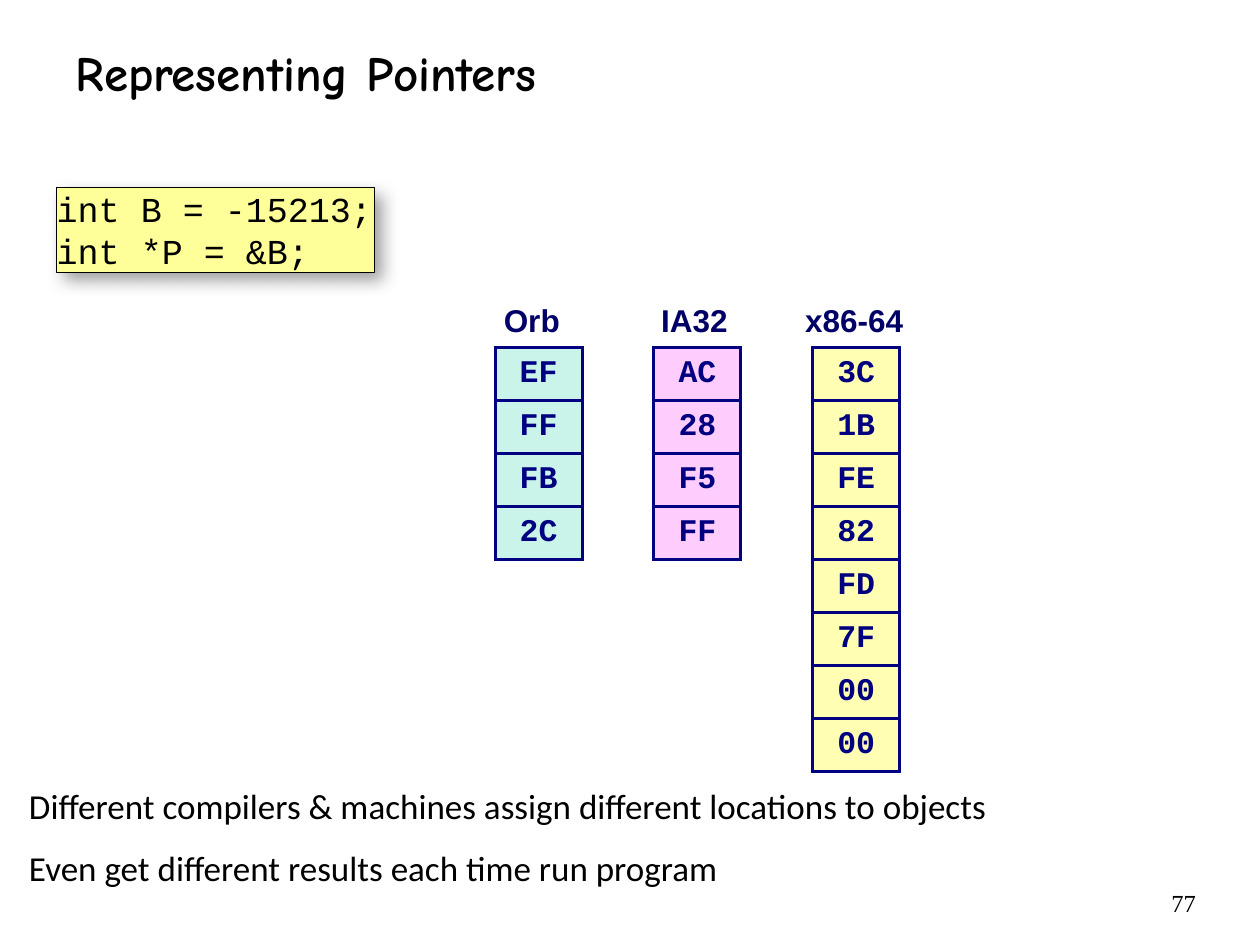
from dataclasses import dataclass

from lxml import etree
from pptx import Presentation
from pptx.dml.color import RGBColor
from pptx.enum import shapes, text
from pptx.oxml import ns
from pptx.util import Inches, Pt


@dataclass(frozen=True)
class Theme:
    black: str = "000000"
    heading: str = "000066"
    navy: str = "000080"
    code_fill: str = "FFFF99"
    shadow: str = "808080"
    mint: str = "CAF4E9"
    pink: str = "FFCCFE"
    cream: str = "FFFEB2"
    title_size: int = 28
    body_size: int = 20
    cell_size: int = 18
    number_size: int = 14


THEME = Theme()
INSETS = (0.06, 0.06, 0.1, 0.06)
COLUMN_LEFT, COLUMN_TOP, COLUMN_STEP = 3.93, 2.76, 1.26
CELL_WIDTH, ROW_HEIGHT = 0.69, 5 / 12

# heading, its left edge, width and alignment, cell fill, bytes
MACHINES = [
    ("Orb", 3.92, 0.64, text.PP_ALIGN.CENTER, THEME.mint, "EF FF FB 2C"),
    ("IA32", 5.18, 0.7, text.PP_ALIGN.CENTER, THEME.pink, "AC 28 F5 FF"),
    ("x86-64", 6.33, 0.95, text.PP_ALIGN.LEFT, THEME.cream,
     "3C 1B FE 82 FD 7F 00 00"),
]


def color(value):
    return RGBColor.from_string(value)


def add_element(parent, tag, **attributes):
    return etree.SubElement(parent, ns.qn(tag), attributes)


def place(shape, left, top, width, height):
    shape.left, shape.top = Inches(left), Inches(top)
    shape.width, shape.height = Inches(width), Inches(height)


def set_insets(target, insets):
    (target.margin_left, target.margin_top,
     target.margin_right, target.margin_bottom) = map(Inches, insets)


def write(frame, content, font, size, fill, bold=False,
          align=text.PP_ALIGN.LEFT):
    frame.text = content
    for para in frame.paragraphs:
        para.alignment = align
        for span in para.runs:
            span.font.name, span.font.size = font, Pt(size)
            span.font.bold = bold
            span.font.color.rgb = color(fill)


def add_title(page, content):
    title = page.shapes.title
    place(title, 0.5, 0.22, 9.08, 0.7)
    title.text_frame.vertical_anchor = text.MSO_ANCHOR.MIDDLE
    write(title.text_frame, content, "Comic Neue", THEME.title_size,
          THEME.black, bold=True)


def add_remarks(page, lines):
    body = page.placeholders[1]
    place(body, 0.17, 6.17, 9.67, 0.74)
    frame = body.text_frame
    frame.auto_size = text.MSO_AUTO_SIZE.NONE
    frame.vertical_anchor = text.MSO_ANCHOR.TOP
    set_insets(frame, INSETS)
    write(frame, "\n".join(lines), "Calibri", THEME.body_size, THEME.black)
    for index, para in enumerate(frame.paragraphs):
        para.space_before = Pt(11 if index else 0)
        properties = para._p.get_or_add_pPr()
        properties.set("marL", "0")
        properties.set("indent", "0")
        add_element(properties, "a:buNone")


def add_code(page, lines):
    box = page.shapes.add_shape(shapes.MSO_SHAPE.RECTANGLE, Inches(0.45),
                                Inches(1.49), Inches(2.52), Inches(0.67))
    box.fill.solid()
    box.fill.fore_color.rgb = color(THEME.code_fill)
    box.line.color.rgb = color(THEME.black)
    box.line.width = Pt(0.5)
    frame = box.text_frame
    frame.word_wrap = False
    frame.vertical_anchor = text.MSO_ANCHOR.TOP
    set_insets(frame, (0, 0, 0, 0))
    write(frame, "\n".join(lines), "Courier New", THEME.body_size, THEME.black)
    for para in frame.paragraphs:
        para.line_spacing = Pt(24)
    add_shadow(box)


def add_shadow(shape):
    shape.shadow.inherit = False
    effects = shape._element.spPr.find(ns.qn("a:effectLst"))
    shadow = add_element(effects, "a:outerShdw", blurRad=str(Pt(10)),
                         dist=str(Pt(6)), dir=str(45 * 60000),
                         algn="tl", rotWithShape="0")
    tint = add_element(shadow, "a:srgbClr", val=THEME.shadow)
    add_element(tint, "a:alpha", val="75000")


def add_label(page, content, area, font, size, fill, align,
              bold=False, insets=(0.1, 0.05, 0.1, 0.05), wrap=False):
    box = page.shapes.add_textbox(*map(Inches, area))
    frame = box.text_frame
    frame.word_wrap = wrap
    set_insets(frame, insets)
    write(frame, content, font, size, fill, bold, align)


def add_borders(cell):
    """Put the four lines ahead of the cell's fill, as the schema asks."""
    properties = cell._tc.get_or_add_tcPr()
    for index, tag in enumerate(("a:lnL", "a:lnR", "a:lnT", "a:lnB")):
        line = add_element(properties, tag, w=str(Pt(2)))
        fill = add_element(line, "a:solidFill")
        add_element(fill, "a:srgbClr", val=THEME.navy)
        properties.insert(index, line)


def add_byte_column(page, left, values, fill):
    table = page.shapes.add_table(
        len(values), 1, Inches(left), Inches(COLUMN_TOP), Inches(CELL_WIDTH),
        Inches(ROW_HEIGHT * len(values))).table
    table.first_row = table.horz_banding = False
    for row, value in zip(table.rows, values):
        row.height = Inches(ROW_HEIGHT)
        cell = row.cells[0]
        cell.vertical_anchor = text.MSO_ANCHOR.MIDDLE
        set_insets(cell, (0.06, 0.06, 0.06, 0.06))
        cell.fill.solid()
        cell.fill.fore_color.rgb = color(fill)
        add_borders(cell)
        write(cell.text_frame, value, "Courier New", THEME.cell_size,
              THEME.navy, bold=True, align=text.PP_ALIGN.CENTER)


def main():
    deck = Presentation()
    deck.slide_width, deck.slide_height = Inches(10), Inches(7.5)
    page = deck.slides.add_slide(deck.slide_layouts[1])
    add_title(page, "Representing Pointers")
    add_remarks(page, [
        "Different compilers & machines assign different locations to objects",
        "Even get different results each time run program",
    ])
    add_code(page, ["int B = -15213;", "int *P = &B;"])
    for index, machine in enumerate(MACHINES):
        name, left, width, align, fill, values = machine
        add_label(page, name, (left, 2.33, width, 0.42), "Arial",
                  THEME.cell_size, THEME.heading, align, bold=True,
                  insets=INSETS)
        add_byte_column(page, COLUMN_LEFT + index * COLUMN_STEP,
                        values.split(), fill)
    add_label(page, "77", (8.17, 7, 1.42, 0.28), "Times New Roman",
              THEME.number_size, THEME.black, text.PP_ALIGN.RIGHT, wrap=True)
    deck.save("out.pptx")


if __name__ == "__main__":
    main()
